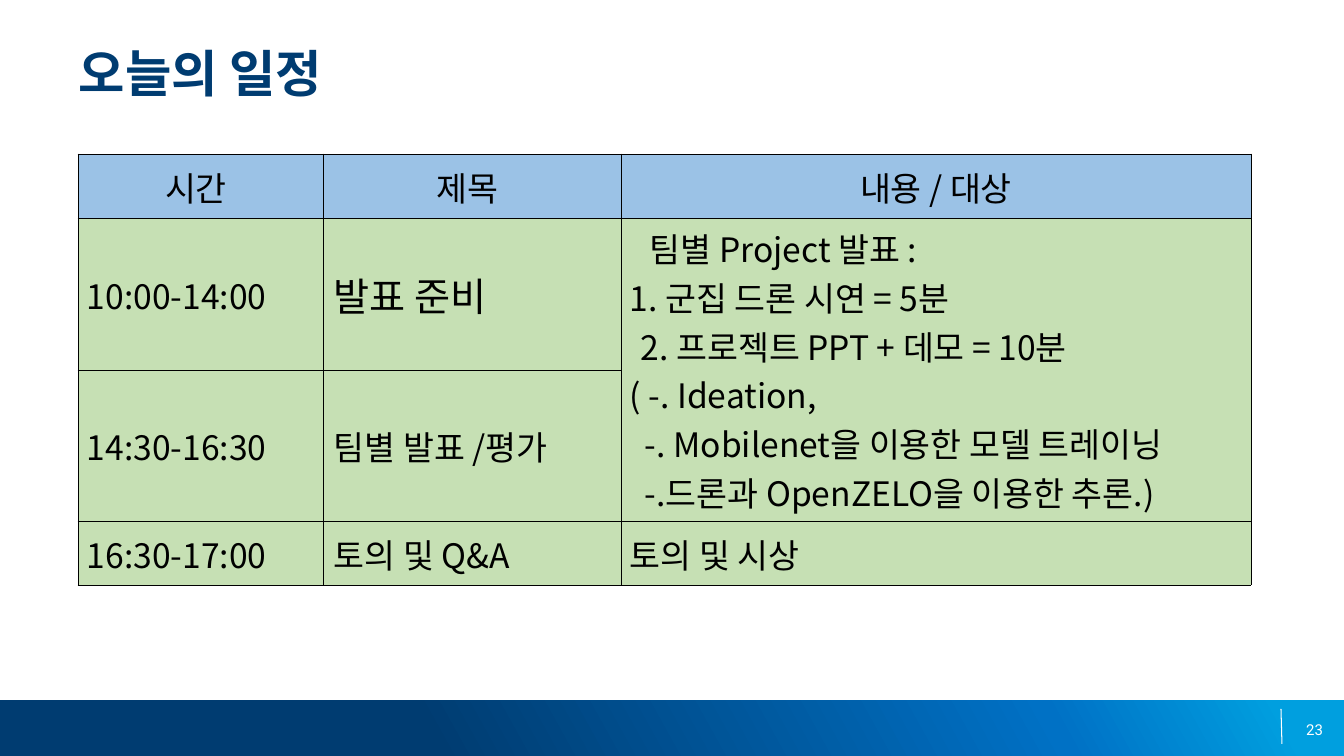
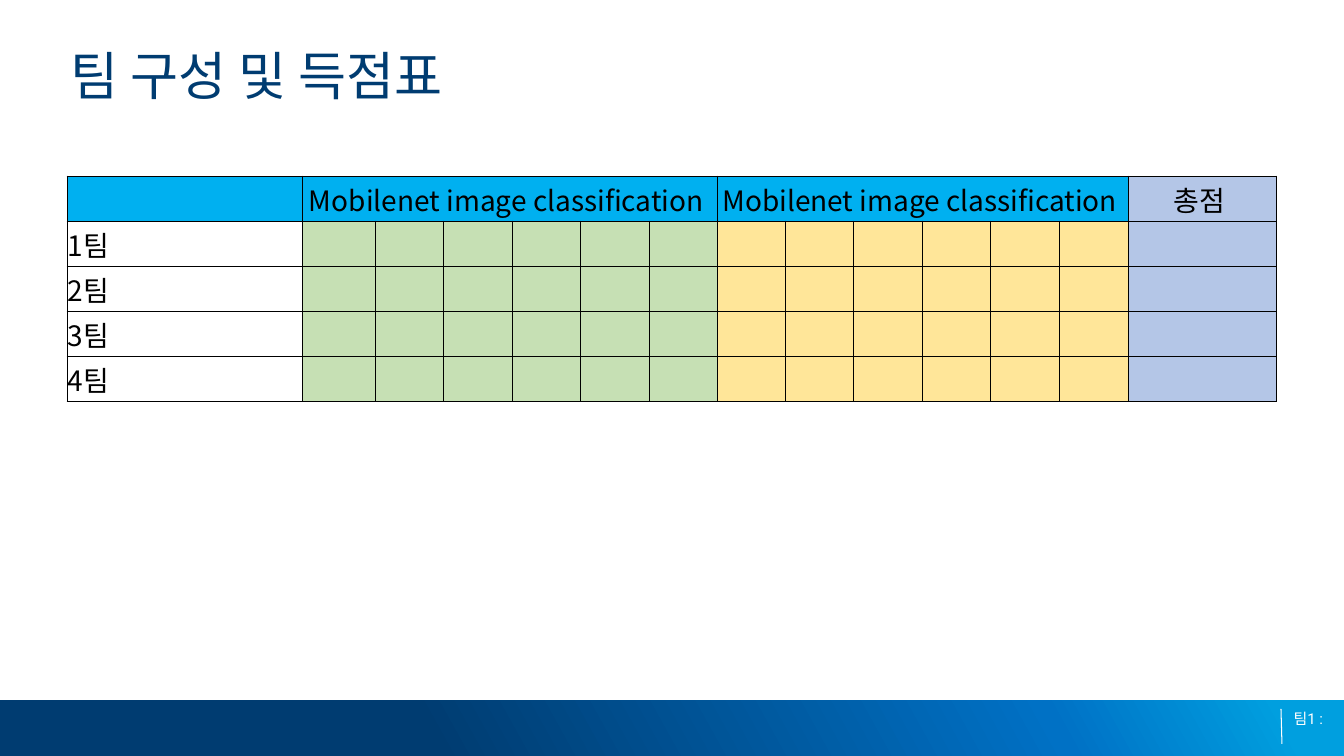
from lxml import etree
from pptx import Presentation
from pptx.dml.color import RGBColor
from pptx.enum.shapes import MSO_CONNECTOR, MSO_SHAPE
from pptx.enum.text import MSO_ANCHOR, PP_ALIGN
from pptx.oxml import parse_xml
from pptx.oxml.ns import nsdecls, qn
from pptx.util import Emu, Pt

LEFT, CENTER, RIGHT = PP_ALIGN.LEFT, PP_ALIGN.CENTER, PP_ALIGN.RIGHT
TOP, MIDDLE = MSO_ANCHOR.TOP, MSO_ANCHOR.MIDDLE
RECTANGLE, STRAIGHT = MSO_SHAPE.RECTANGLE, MSO_CONNECTOR.STRAIGHT

EMU_PER_PX = 914400 / 100.8
WIDTH, HEIGHT = 1344, 756

NAVY, BLUE, SKY = "003C71", "0071C5", "009FDF"
WHITE, BLACK = "FFFFFF", "000000"
HEADER_BLUE, GREEN = "9BC2E6", "C6E0B4"
CYAN, YELLOW, LAVENDER = "00B0F0", "FFE699", "B4C6E7"
BAND_STOPS = [(32, NAVY), (78, BLUE), (95, SKY)]
BAND_ANGLE = 331

LATIN_FONT, KOREAN_FONT = "Roboto", "Noto Sans CJK KR"


def px(length):
    return Emu(round(length * EMU_PER_PX))


def rgb(value):
    return RGBColor.from_string(value)


def write(frame, lines, size=24, font=KOREAN_FONT, color=BLACK, bold=False,
          align=LEFT):
    """Write one paragraph for each (text, indent in px); a string is one line."""
    if isinstance(lines, str):
        lines = [(lines, 0)]
    frame.word_wrap = True
    for index, (text, indent) in enumerate(lines):
        paragraph = frame.add_paragraph() if index else frame.paragraphs[0]
        paragraph.alignment = align
        if indent:
            properties = paragraph._p.get_or_add_pPr()
            properties.set("marL", str(px(indent)))
            properties.set("indent", "0")
        run = paragraph.add_run()
        run.text = text
        run.font.size = Pt(size)
        run.font.bold = bold
        run.font.color.rgb = rgb(color)
        run.font.name = font
        east_asian = etree.SubElement(run._r.get_or_add_rPr(), qn("a:ea"))
        east_asian.set("typeface", KOREAN_FONT)


class Deck:
    def __init__(self):
        self.presentation = Presentation()
        self.presentation.slide_width = px(WIDTH)
        self.presentation.slide_height = px(HEIGHT)
        self.slide = None

    def add_slide(self, footer, footer_anchor=MIDDLE):
        layout = self.presentation.slide_layouts[6]
        self.slide = self.presentation.slides.add_slide(layout)
        self.band(0, 700, WIDTH, 56)
        self.line(1281, 709, 1282, 744)
        self.text(1010, 710, 313, 40, footer, anchor=footer_anchor,
                  size=10.7, font=LATIN_FONT, color=WHITE, align=RIGHT)

    def band(self, left, top, width, height):
        shape = self.slide.shapes.add_shape(
            RECTANGLE, px(left), px(top), px(width), px(height))
        shape.shadow.inherit = False
        shape.line.fill.background()
        stops = "".join(
            f'<a:gs pos="{percent * 1000}"><a:srgbClr val="{color}"/></a:gs>'
            for percent, color in BAND_STOPS)
        gradient = parse_xml(
            f'<a:gradFill {nsdecls("a")}><a:gsLst>{stops}</a:gsLst>'
            f'<a:lin ang="{BAND_ANGLE * 60000}" scaled="0"/></a:gradFill>')
        shape._element.spPr.find(qn("a:prstGeom")).addnext(gradient)

    def line(self, left, top, right, bottom):
        connector = self.slide.shapes.add_connector(
            STRAIGHT, px(left), px(top), px(right), px(bottom))
        connector.line.color.rgb = rgb(WHITE)
        connector.line.width = Pt(0.75)
        etree.SubElement(connector._element.spPr, qn("a:effectLst"))

    def text(self, left, top, width, height, lines, anchor=TOP, **style):
        box = self.slide.shapes.add_textbox(
            px(left), px(top), px(width), px(height))
        frame = box.text_frame
        frame.margin_left = frame.margin_right = 0
        frame.margin_top = frame.margin_bottom = 0
        frame.vertical_anchor = anchor
        write(frame, lines, **style)

    def title(self, left, top, text, size, bold=False):
        self.text(left, top, 1210, 76, text, size=size, font=LATIN_FONT,
                  color=NAVY, bold=bold)

    def table(self, left, top, columns, rows):
        """Add a table with thin borders and no banding."""
        table = self.slide.shapes.add_table(
            len(rows), len(columns), px(left), px(top),
            px(sum(columns)), px(sum(rows))).table
        table.first_row = table.horz_banding = False
        for column, width in zip(table.columns, columns):
            column.width = px(width)
        for row, height in zip(table.rows, rows):
            row.height = px(height)
        for cell in table.iter_cells():
            self.borders(cell)
        return table

    def borders(self, cell):
        properties = cell._tc.get_or_add_tcPr()
        for side in ("lnL", "lnR", "lnT", "lnB"):
            properties.append(parse_xml(
                f'<a:{side} {nsdecls("a")} w="{Pt(0.5)}"><a:solidFill>'
                f'<a:srgbClr val="{BLACK}"/></a:solidFill></a:{side}>'))

    def cell(self, cell, lines="", fill=None, left=1, right=1, **style):
        cell.margin_left, cell.margin_right = px(left), px(right)
        cell.margin_top, cell.margin_bottom = px(1), 0
        cell.vertical_anchor = MIDDLE
        if fill:
            cell.fill.solid()
            cell.fill.fore_color.rgb = rgb(fill)
        else:
            cell.fill.background()
        if lines:
            write(cell.text_frame, lines, **style)


def schedule_slide(deck):
    deck.add_slide("23")
    deck.title(79, 42, "오늘의 일정", 36, bold=True)
    table = deck.table(78, 154, [245, 298, 630], [64, 152, 151, 64])
    table.cell(1, 2).merge(table.cell(2, 2))
    for column, (heading, right) in enumerate(
            [("시간", 10), ("제목", 10), ("내용 / 대상", 1)]):
        deck.cell(table.cell(0, column), heading, HEADER_BLUE,
                  right=right, align=CENTER)
    presentations = [
        ("팀별 Project 발표 :", 20),
        ("1. 군집 드론 시연 = 5분", 0),
        ("2. 프로젝트 PPT + 데모 = 10분", 11),
        ("( -. Ideation,", 0),
        ("-. Mobilenet을 이용한 모델 트레이닝", 15),
        ("-.드론과 OpenZELO을 이용한 추론.)", 15),
    ]
    sessions = [
        ("10:00-14:00", "발표 준비", 28, presentations),
        ("14:30-16:30", "팀별 발표 /평가", 24, ""),
        ("16:30-17:00", "토의 및 Q&A", 24, "토의 및 시상"),
    ]
    for row, (time, topic, topic_size, content) in enumerate(sessions, 1):
        deck.cell(table.cell(row, 0), time, GREEN, left=9)
        deck.cell(table.cell(row, 1), topic, GREEN, left=11, size=topic_size)
        deck.cell(table.cell(row, 2), content, GREEN, left=9)


def score_slide(deck):
    deck.add_slide("팀1 :", footer_anchor=TOP)
    deck.title(71, 43, "팀 구성 및 득점표", 37.3)
    rounds = 6
    first, second, total = 1, 1 + rounds, 1 + 2 * rounds
    columns = [235, 73] + [68, 69] * 5 + [69, 148]
    table = deck.table(67, 176, columns, [45] * 5)
    headings = {first: "Mobilenet image classification",
                second: "Mobilenet image classification",
                total: "총점"}
    for start in (first, second):
        table.cell(0, start).merge(table.cell(0, start + rounds - 1))
    for column in range(len(columns)):
        deck.cell(table.cell(0, column), headings.get(column, ""),
                  LAVENDER if column == total else CYAN,
                  right=7, size=20, align=CENTER)
    score_fills = [GREEN] * rounds + [YELLOW] * rounds + [LAVENDER]
    for team in range(1, 5):
        deck.cell(table.cell(team, 0), f"{team}팀", size=20)
        for column, fill in enumerate(score_fills, first):
            deck.cell(table.cell(team, column), fill=fill)


def main():
    deck = Deck()
    schedule_slide(deck)
    score_slide(deck)
    deck.presentation.save("out.pptx")


if __name__ == "__main__":
    main()
